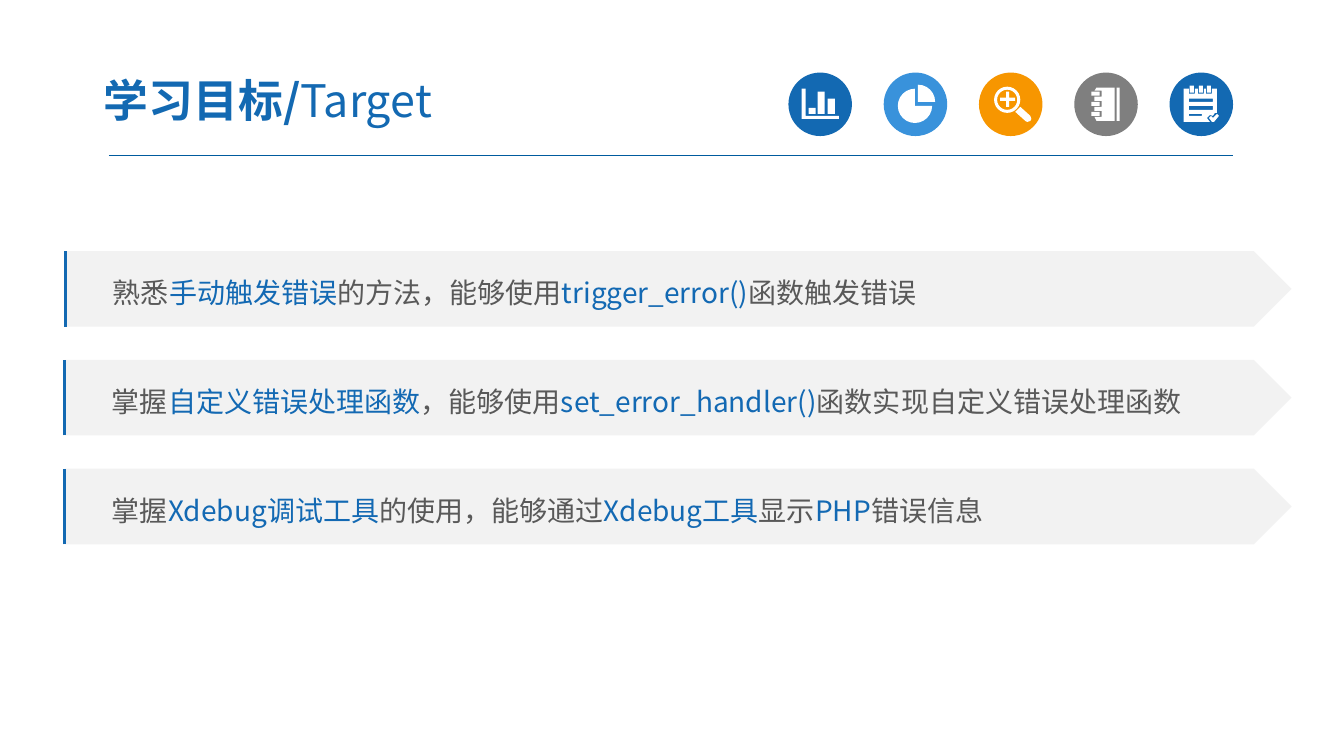
import math

from lxml import etree
from pptx import Presentation
from pptx.dml.color import RGBColor
from pptx.enum import shapes, text
from pptx.oxml.ns import qn
from pptx.util import Inches, Pt

COLORS = {
    "blue": "1369B2", "key": "1369B3", "sky": "3992DB", "orange": "F79600",
    "grey": "7F7F7F", "white": "FFFFFF", "plate": "F2F2F2", "body": "595959",
    "rule": "005B9E",
}
FONT = "Noto Sans CJK SC"
S = shapes.MSO_SHAPE

# Each goal: left edge, then text that alternates between plain and highlighted
GOALS = [
    (0.65, ["熟悉", "手动触发错误", "的方法，能够使用", "trigger_error()",
            "函数触发错误"]),
    (0.64, ["掌握", "自定义错误处理函数", "，能够使用", "set_error_handler()",
            "函数实现自定义错误处理函数"]),
    (0.64, ["掌握", "Xdebug调试工具", "的使用，能够通过", "Xdebug工具",
            "显示", "PHP", "错误信息"]),
]


def rect(x1, y1, x2, y2):
    return [(x1, y1), (x2, y1), (x2, y2), (x1, y2)]


def arc(cx, cy, radius, start=0, end=360, step=15):
    """Points on an arc, clockwise from the right, in degrees."""
    angles = [math.radians(a) for a in range(start, end + 1, step)]
    return [(cx + radius * math.cos(a), cy + radius * math.sin(a))
            for a in angles]


def chart_icon():
    axes = [(0.13, 0.16), (0.17, 0.16), (0.17, 0.43), (0.5, 0.43),
            (0.5, 0.46), (0.13, 0.46)]
    return [axes, rect(0.2, 0.35, 0.27, 0.41), rect(0.29, 0.19, 0.36, 0.41),
            rect(0.39, 0.26, 0.46, 0.41)]


def pie_icon():
    return [[(0.31, 0.33)] + arc(0.31, 0.33, 0.17, 0, 270),
            [(0.34, 0.29)] + arc(0.34, 0.29, 0.17, 270, 360)]


def magnifier_icon():
    plus = [(0.27, 0.19), (0.3, 0.19), (0.3, 0.25), (0.36, 0.25),
            (0.36, 0.28), (0.3, 0.28), (0.3, 0.34), (0.27, 0.34),
            (0.27, 0.28), (0.21, 0.28), (0.21, 0.25), (0.27, 0.25)]
    handle = [(0.41, 0.34), (0.51, 0.43), (0.52, 0.46), (0.51, 0.48),
              (0.48, 0.49), (0.46, 0.48), (0.36, 0.39)]
    return [arc(0.28, 0.27, 0.13), arc(0.28, 0.27, 0.1), plus, handle]


def notebook_icon():
    cover, rings = [(0.22, 0.15), (0.4, 0.15), (0.4, 0.48), (0.22, 0.48)], []
    for y in (0.41, 0.31, 0.21):
        cover += [(0.2, y + 0.03), (0.27, y + 0.03), (0.27, y - 0.03),
                  (0.2, y - 0.03)]
        rings.append(rect(0.17, y - 0.02, 0.25, y + 0.02))
    return [cover, rect(0.42, 0.15, 0.45, 0.48)] + rings


def notepad_icon():
    page, loops = [(0.14, 0.16)], []
    for x in (0.22, 0.31, 0.39):
        page += [(x - 0.03, 0.16), (x - 0.03, 0.21), (x + 0.03, 0.21),
                 (x + 0.03, 0.16)]
        loops.append(rect(x - 0.02, 0.13, x + 0.02, 0.2))
    page += [(0.47, 0.16), (0.47, 0.4), (0.45, 0.4), (0.43, 0.43),
             (0.4, 0.42), (0.37, 0.45), (0.4, 0.49), (0.14, 0.49)]
    tick = [(0.39, 0.45), (0.41, 0.43), (0.43, 0.45), (0.47, 0.41),
            (0.49, 0.43), (0.44, 0.49), (0.42, 0.49)]
    lines = [rect(0.19, 0.26, 0.43, 0.29), rect(0.19, 0.33, 0.43, 0.37),
             rect(0.19, 0.41, 0.32, 0.43)]
    return [page, tick] + loops + lines


ICONS = [("blue", chart_icon()), ("sky", pie_icon()),
         ("orange", magnifier_icon()), ("grey", notebook_icon()),
         ("blue", notepad_icon())]


def rgb(name):
    return RGBColor.from_string(COLORS[name])


def set_all(target, values):
    for name, value in values.items():
        setattr(target, name, value)


def add_run(p, words, color, size, bold=False):
    r = p.add_run()
    r.text = words
    set_all(r.font, {"name": FONT, "size": Pt(size), "bold": bold})
    r.font.color.rgb = rgb(color)
    etree.SubElement(r.font._element, qn("a:ea"), typeface=FONT)


def paint(sp, color):
    sp.shadow.inherit = False
    sp.fill.solid()
    sp.fill.fore_color.rgb = rgb(color)
    sp.line.fill.background()


def add_filled(parent, kind, *box):
    *lengths, color = box
    sp = parent.add_shape(kind, *(Inches(v) for v in lengths))
    paint(sp, color)
    return sp


def add_rule(slide, left, right, y):
    ends = (Inches(v) for v in (left, y, right, y))
    line = slide.shapes.add_connector(shapes.MSO_CONNECTOR.STRAIGHT, *ends)
    line.line.color.rgb = rgb("rule")
    line.line.width = Pt(0.75)
    etree.SubElement(line._element.spPr, qn("a:effectLst"))


def add_edge(parent, x, top, bottom):
    builder = parent.build_freeform(Inches(x), Inches(bottom))
    builder.add_line_segments([(Inches(x), Inches(top))], close=False)
    edge = builder.convert_to_shape()
    edge.shadow.inherit = False
    edge.fill.background()
    edge.line.color.rgb = rgb("blue")
    edge.line.width = Pt(1.5)


def add_title(slide, left, top, width, height):
    title = slide.shapes.title
    set_all(title, {"left": Inches(left), "top": Inches(top),
                    "width": Inches(width), "height": Inches(height)})
    tf = title.text_frame
    set_all(tf, {"margin_left": Inches(0.13), "margin_right": Inches(0.13),
                 "margin_top": Inches(0.07), "margin_bottom": Inches(0.07),
                 "vertical_anchor": text.MSO_ANCHOR.MIDDLE,
                 "auto_size": text.MSO_AUTO_SIZE.NONE, "word_wrap": True})
    p = tf.paragraphs[0]
    set_all(p, {"alignment": text.PP_ALIGN.LEFT, "space_before": Pt(0),
                "line_spacing": 1.0})
    add_run(p, "学习目标/", "blue", 32, True)
    add_run(p, "Target", "blue", 32)


def add_icon(slide, left, top, size, color, outlines):
    group = slide.shapes.add_group_shape().shapes
    add_filled(group, S.OVAL, left, top, size, size, color)
    builder = None
    for outline in outlines:
        first, *rest = [(Inches(left + x), Inches(top + y))
                        for x, y in outline]
        if builder is None:
            builder = group.build_freeform(*first)
        else:
            builder.move_to(*first)
        builder.add_line_segments(rest, close=True)
    paint(builder.convert_to_shape(), "white")


def add_icon_row(slide, left, top, width, size):
    pitch = (width - size) / (len(ICONS) - 1)
    for i, (color, outlines) in enumerate(ICONS):
        add_icon(slide, left + i * pitch, top, size, color, outlines)


def add_goal(slide, left, top, width, height, pieces):
    group = slide.shapes.add_group_shape().shapes
    sp = add_filled(group, S.PENTAGON, left, top, width, height, "plate")
    tf = sp.text_frame
    set_all(tf, {"margin_left": Inches(0.47), "word_wrap": True,
                 "vertical_anchor": text.MSO_ANCHOR.MIDDLE})
    p = tf.paragraphs[0]
    set_all(p, {"alignment": text.PP_ALIGN.LEFT, "line_spacing": 1.2})
    for i, words in enumerate(pieces):
        add_run(p, words, "key" if i % 2 else "body", 20)
    add_edge(group, left, top, top + height)


def add_goals(slide, top, right, height, pitch):
    for i, (left, pieces) in enumerate(GOALS):
        add_goal(slide, left, top + i * pitch, right - left, height, pieces)


def main():
    prs = Presentation()
    set_all(prs, {"slide_width": Inches(13.33), "slide_height": Inches(7.5)})
    slide = prs.slides.add_slide(prs.slide_layouts[5])
    add_rule(slide, 1.08, 12.23, 1.54)
    add_icon_row(slide, 7.82, 0.72, 4.41, 0.63)
    add_title(slide, 0.9, 0.63, 5.22, 0.72)
    add_goals(slide, 2.49, 12.81, 0.75, 1.08)
    prs.save("out.pptx")


if __name__ == "__main__":
    main()
